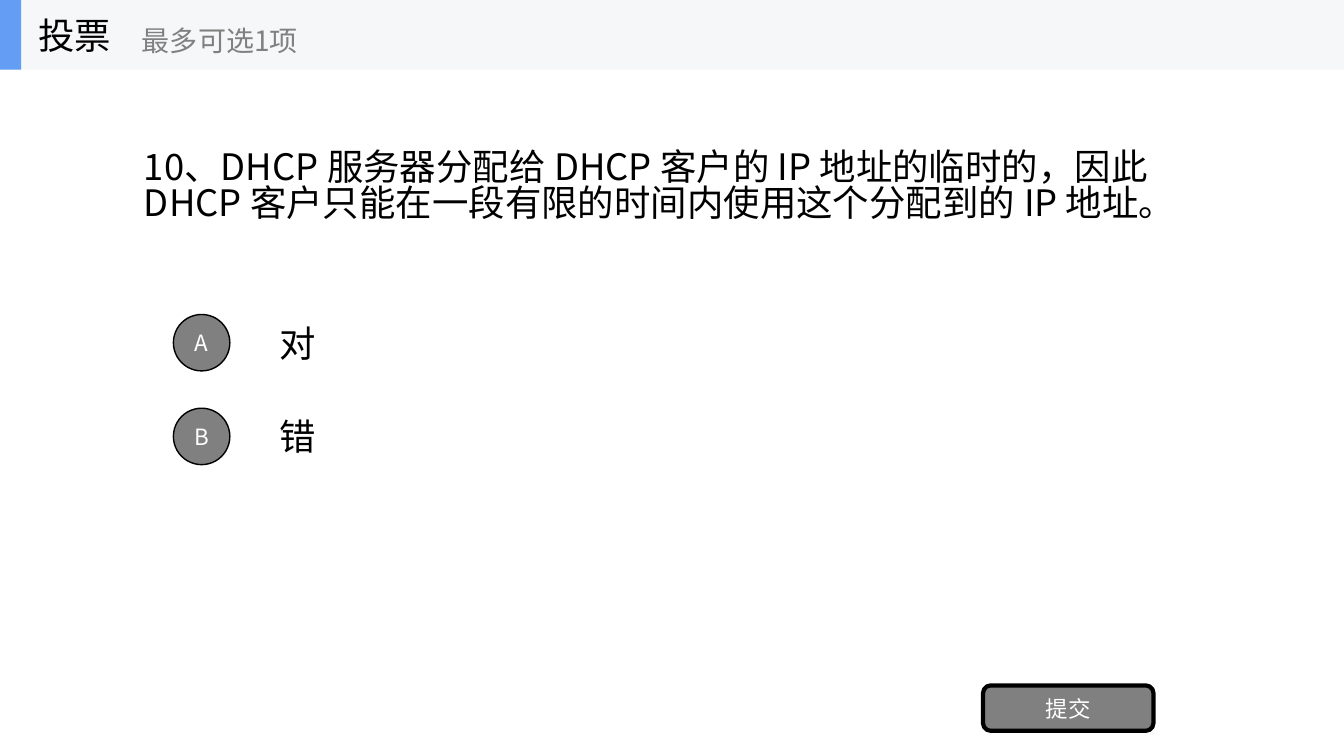
from lxml import etree
from pptx import Presentation
from pptx import util as u
from pptx.dml.color import RGBColor
from pptx.enum import shapes, text
from pptx.oxml.ns import qn

FONT = "Noto Sans CJK SC"
BLACK = RGBColor(0x00, 0x00, 0x00)
WHITE = RGBColor(0xFF, 0xFF, 0xFF)
GRAY = RGBColor(0x80, 0x80, 0x80)
BAR = RGBColor(0xF6, 0xF7, 0xF8)
ACCENT = RGBColor(0x63, 0x9E, 0xF4)

QUESTION = ("10、DHCP 服务器分配给 DHCP 客户的 IP 地址的临时的，"
            "因此 DHCP 客户只能在一段有限的时间内使用这个分配到的 IP 地址。")
OPTIONS = [("A", "对"), ("B", "错")]


def write(shape, content, size, color, align=text.PP_ALIGN.LEFT, wrap=True):
    frame = shape.text_frame
    frame.text = content
    frame.word_wrap = wrap
    frame.auto_size = text.MSO_AUTO_SIZE.NONE
    frame.vertical_anchor = text.MSO_ANCHOR.MIDDLE
    paragraph = frame.paragraphs[0]
    paragraph.alignment = align
    paragraph.font.size = u.Pt(size)
    paragraph.font.name = FONT
    paragraph.font.color.rgb = color
    # Chinese characters take their typeface from the East Asian font
    properties = paragraph._p.pPr.find(qn("a:defRPr"))
    etree.SubElement(properties, qn("a:ea")).set("typeface", FONT)
    return paragraph


def add_label(slide, box, content, size, color, wrap=True):
    label = slide.shapes.add_textbox(*map(u.Inches, box))
    return write(label, content, size, color, wrap=wrap)


def add_block(slide, kind, box, fill, line_width=0):
    block = slide.shapes.add_shape(kind, *map(u.Inches, box))
    block.shadow.inherit = False
    block.fill.solid()
    block.fill.fore_color.rgb = fill
    if line_width:
        block.line.color.rgb = BLACK
        block.line.width = u.Pt(line_width)
    else:
        block.line.fill.background()
    return block


def add_header(slide, left, top, width, height):
    rectangle = shapes.MSO_SHAPE.RECTANGLE
    add_block(slide, rectangle, (left, top, width, height), BAR)
    add_block(slide, rectangle, (left, top, 0.21, height), ACCENT)
    # Title, raised above the bar
    title = slide.shapes.title
    title.left, title.top = u.Inches(left + 0.28), u.Inches(top)
    title.width, title.height = u.Inches(2.08), u.Inches(height)
    write(title, "投票", 26, BLACK, wrap=False)
    slide.shapes._spTree.append(title._element)
    # Selection limit
    add_label(slide, (left + 1.31, top + 0.12, 2.5, 0.56), "最多可选1项", 20, GRAY, wrap=False)


def add_question(slide, left, top, width, height):
    paragraph = add_label(slide, (left, top, width, height), QUESTION, 26, BLACK)
    paragraph.line_spacing = 0.83


def add_options(slide, left, top, width, row_height, pitch):
    diameter, label_offset = 0.56, 0.95
    for row, (letter, answer) in enumerate(OPTIONS):
        row_top = top + row * pitch
        circle_top = row_top + (row_height - diameter) / 2
        add_label(slide, (left + label_offset, row_top, width - label_offset, row_height),
                  answer, 26, BLACK)
        circle = add_block(slide, shapes.MSO_SHAPE.OVAL,
                           (left, circle_top, diameter, diameter), GRAY, 1)
        write(circle, letter, 16, WHITE, text.PP_ALIGN.CENTER)


def add_submit_button(slide, left, top, width, height):
    button = add_block(slide, shapes.MSO_SHAPE.ROUNDED_RECTANGLE,
                       (left, top, width, height), GRAY, 3)
    write(button, "提交", 16, WHITE, text.PP_ALIGN.CENTER)


def main():
    presentation = Presentation()
    presentation.slide_width = u.Inches(13.33)
    presentation.slide_height = u.Inches(7.5)
    slide = presentation.slides.add_slide(presentation.slide_layouts.get_by_name("Title Only"))
    add_header(slide, 0, 0, 13.33, 0.69)
    add_question(slide, 1.33, 0.69, 10.67, 2.34)
    add_options(slide, 1.72, 3.05, 10.28, 0.7, 0.93)
    add_submit_button(slide, 9.75, 6.8, 1.69, 0.45)
    presentation.save("out.pptx")


if __name__ == "__main__":
    main()
